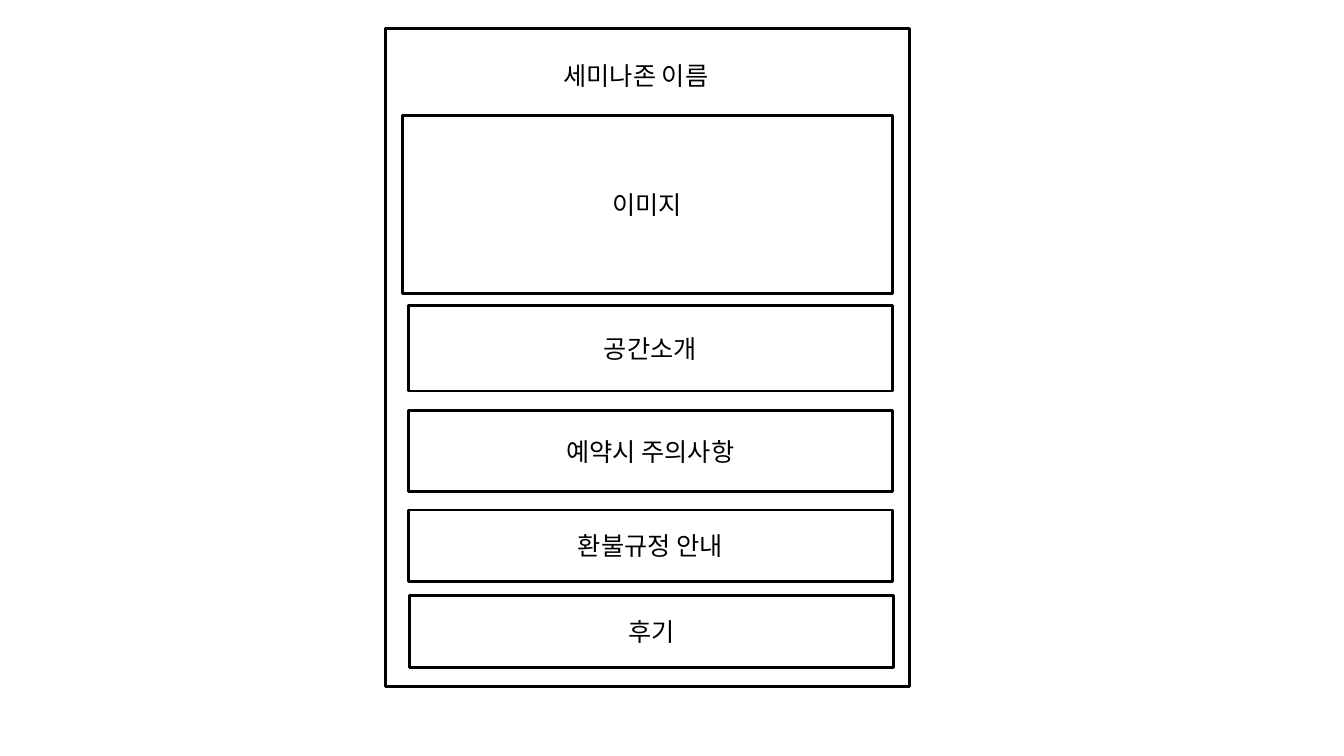
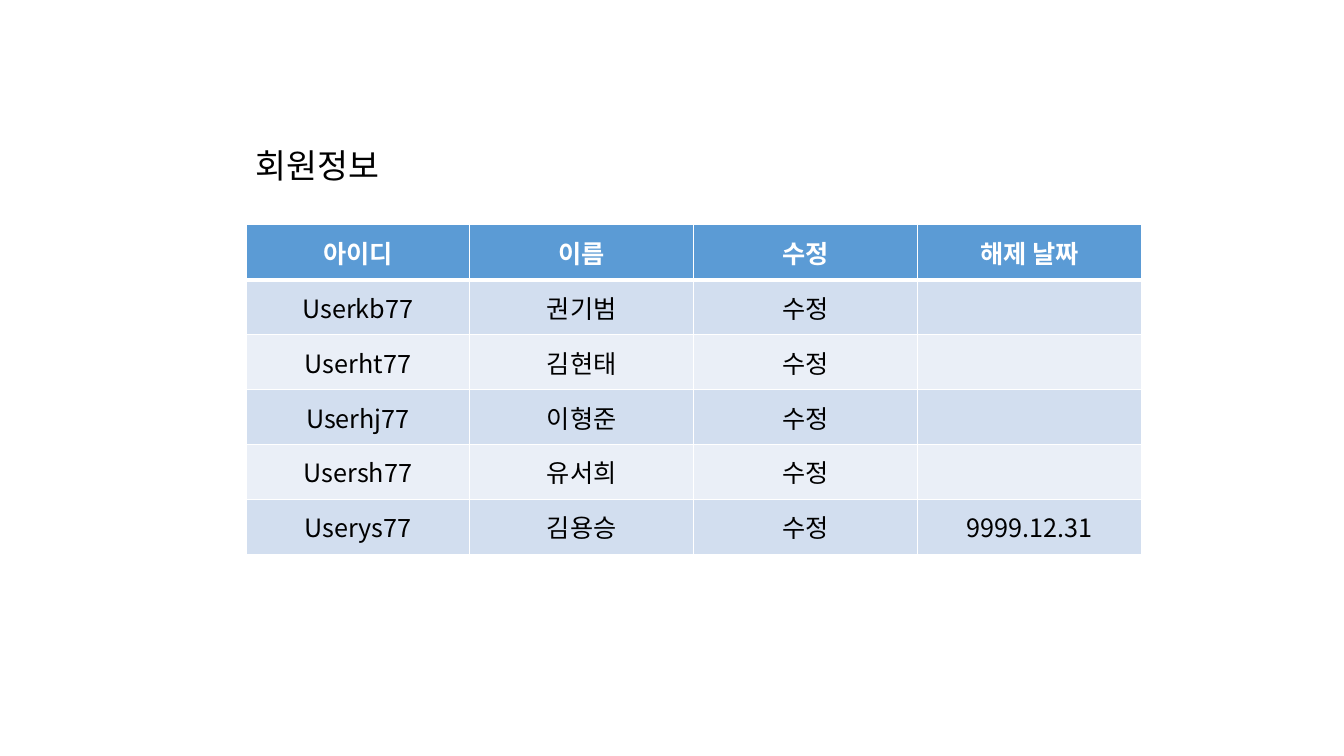
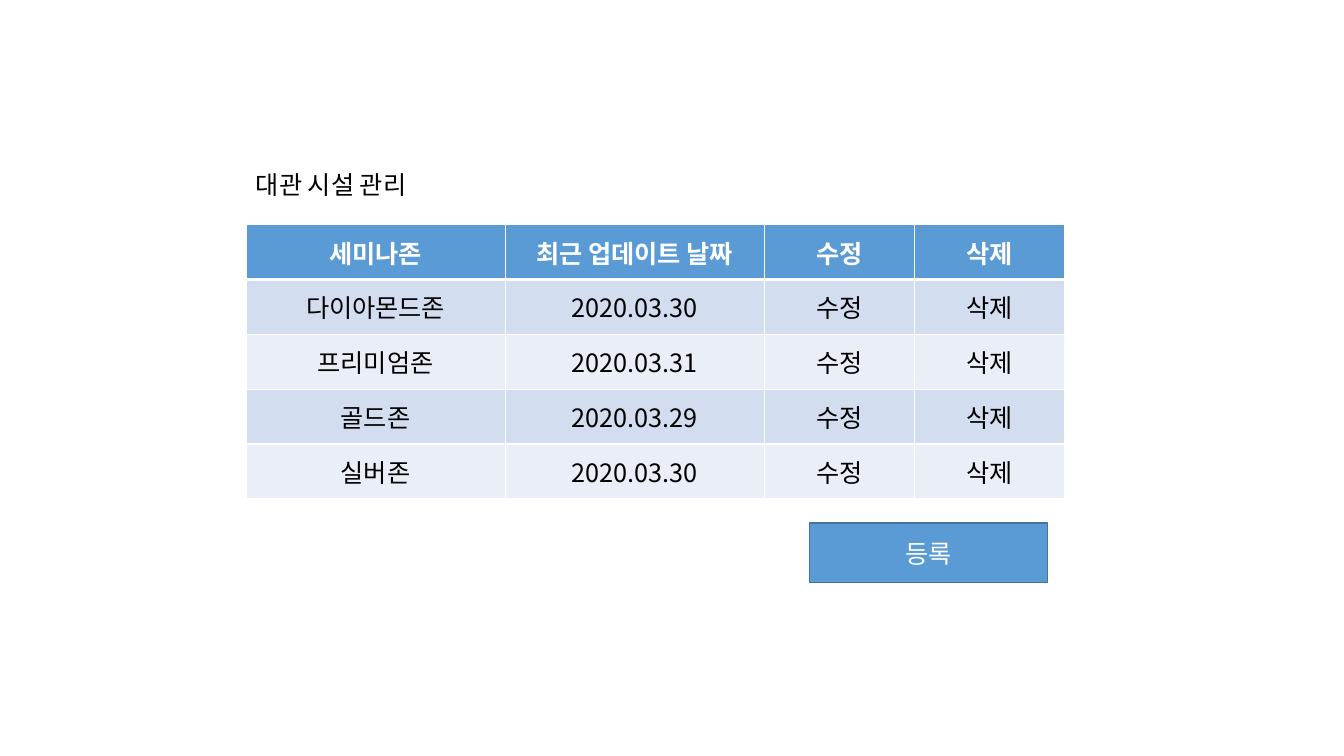
from dataclasses import dataclass

from lxml.etree import SubElement
from pptx import Presentation
from pptx.dml.color import RGBColor
from pptx.enum.shapes import MSO_SHAPE
from pptx.enum.text import MSO_ANCHOR, MSO_AUTO_SIZE, PP_ALIGN
from pptx.oxml.ns import qn
from pptx.slide import Slide
from pptx.table import _Cell as Cell
from pptx.text.text import TextFrame
from pptx.util import Inches, Pt


@dataclass(frozen=True)
class Theme:
    font: str = "Noto Sans CJK KR"
    black: str = "000000"
    white: str = "FFFFFF"
    blue: str = "5B9BD5"
    edge: str = "43739E"
    bands: tuple[str, str] = ("D2DEEF", "EAEFF7")
    body: int = 18
    title: int = 24
    frame: int = 2
    thin: int = 1
    thick: int = 3


THEME = Theme()


@dataclass(frozen=True)
class Box:
    left: float
    top: float
    width: float
    height: float
    text: str = ""
    fill: str | None = None
    line: str = THEME.black
    weight: int = THEME.frame
    color: str = THEME.black


@dataclass(frozen=True)
class Label:
    left: float
    top: float
    width: float
    height: float
    text: str
    size: int = THEME.body


@dataclass(frozen=True)
class Grid:
    left: float
    top: float
    height: float
    widths: tuple[float, ...]
    rows: list[tuple[str, ...]]


def write(frame: TextFrame, text: str, color: str = THEME.black,
          size: int = THEME.body, bold: bool = False,
          align: PP_ALIGN = PP_ALIGN.CENTER) -> None:
    frame.text = text
    for para in frame.paragraphs:
        para.alignment = align
        for run in para.runs:
            font = run.font
            font.name, font.size, font.bold = THEME.font, Pt(size), bold
            font.color.rgb = RGBColor.from_string(color)
            SubElement(run._r.get_or_add_rPr(), qn("a:ea"), typeface=THEME.font)


def add_box(slide: Slide, box: Box) -> None:
    shape = slide.shapes.add_shape(
        MSO_SHAPE.RECTANGLE, Inches(box.left), Inches(box.top),
        Inches(box.width), Inches(box.height))
    shape.shadow.inherit = False
    if box.fill:
        shape.fill.solid()
        shape.fill.fore_color.rgb = RGBColor.from_string(box.fill)
    else:
        shape.fill.background()
    shape.line.color.rgb = RGBColor.from_string(box.line)
    shape.line.width = Pt(box.weight)
    if box.text:
        shape.text_frame.vertical_anchor = MSO_ANCHOR.MIDDLE
        write(shape.text_frame, box.text, box.color)


def add_label(slide: Slide, label: Label) -> None:
    frame = slide.shapes.add_textbox(
        Inches(label.left), Inches(label.top),
        Inches(label.width), Inches(label.height)).text_frame
    frame.word_wrap = False
    frame.auto_size = MSO_AUTO_SIZE.SHAPE_TO_FIT_TEXT
    write(frame, label.text, size=label.size, align=PP_ALIGN.LEFT)


def add_rules(cell: Cell, top: int, base: int) -> None:
    """Draw the four white borders of a cell."""
    props = cell._tc.get_or_add_tcPr()
    sides = {"L": THEME.thin, "R": THEME.thin, "T": top, "B": base}
    for side, weight in sides.items():
        line = SubElement(props, qn(f"a:ln{side}"), w=str(Pt(weight)))
        SubElement(SubElement(line, qn("a:solidFill")), qn("a:srgbClr"),
                   val=THEME.white)


def add_grid(slide: Slide, grid: Grid) -> None:
    count = len(grid.rows)
    table = slide.shapes.add_table(
        count, len(grid.widths), Inches(grid.left), Inches(grid.top),
        Inches(sum(grid.widths)), Inches(grid.height)).table
    for col, width in zip(table.columns, grid.widths):
        col.width = Inches(width)
    for r, row in enumerate(grid.rows):
        table.rows[r].height = Inches(grid.height / count)
        head = r == 0
        fill = THEME.blue if head else THEME.bands[(r - 1) % 2]
        for c, text in enumerate(row):
            cell = table.cell(r, c)
            add_rules(cell, THEME.thick if r == 1 else THEME.thin,
                      THEME.thick if head else THEME.thin)
            cell.fill.solid()
            cell.fill.fore_color.rgb = RGBColor.from_string(fill)
            cell.vertical_anchor = MSO_ANCHOR.MIDDLE
            write(cell.text_frame, text,
                  THEME.white if head else THEME.black, bold=head)


PANELS = [
    Box(3.82, 0.28, 5.2, 6.53),
    Box(3.99, 1.15, 4.86, 1.76, "이미지"),
    Box(4.05, 3.03, 4.8, 0.85, "공간소개"),
    Box(4.05, 4.07, 4.8, 0.81, "예약시 주의사항"),
    Box(4.05, 5.06, 4.8, 0.71, "환불규정 안내"),
    Box(4.06, 5.91, 4.8, 0.71, "후기"),
]
EDIT, DROP = "수정", "삭제"
USERS = [
    ("Userkb77", "권기범", ""),
    ("Userht77", "김현태", ""),
    ("Userhj77", "이형준", ""),
    ("Usersh77", "유서희", ""),
    ("Userys77", "김용승", "9999.12.31"),
]
ZONES = [
    ("다이아몬드존", "2020.03.30"),
    ("프리미엄존", "2020.03.31"),
    ("골드존", "2020.03.29"),
    ("실버존", "2020.03.30"),
]


def main() -> None:
    deck = Presentation()
    deck.slide_width, deck.slide_height = Inches(13.33), Inches(7.5)
    zone, users, rooms = (
        deck.slides.add_slide(deck.slide_layouts[6]) for _ in range(3))

    for panel in PANELS:
        add_box(zone, panel)
    add_label(zone, Label(5.49, 0.55, 1.81, 0.4, "세미나존 이름"))

    add_grid(users, Grid(2.44, 2.23, 3.27, (2.22,) * 4, [
        ("아이디", "이름", EDIT, "해제 날짜"),
        *((key, name, EDIT, date) for key, name, date in USERS)]))
    add_label(users, Label(2.44, 1.39, 1.55, 0.5, "회원정보", THEME.title))

    add_grid(rooms, Grid(2.44, 2.23, 2.72, (2.57, 2.57, 1.49, 1.49), [
        ("세미나존", "최근 업데이트 날짜", EDIT, DROP),
        *((name, date, EDIT, DROP) for name, date in ZONES)]))
    add_label(rooms, Label(2.44, 1.63, 1.9, 0.4, "대관 시설 관리"))
    add_box(rooms, Box(8.03, 5.19, 2.36, 0.59, "등록", THEME.blue,
                       THEME.edge, THEME.thin, THEME.white))

    deck.save("out.pptx")


if __name__ == "__main__":
    main()
